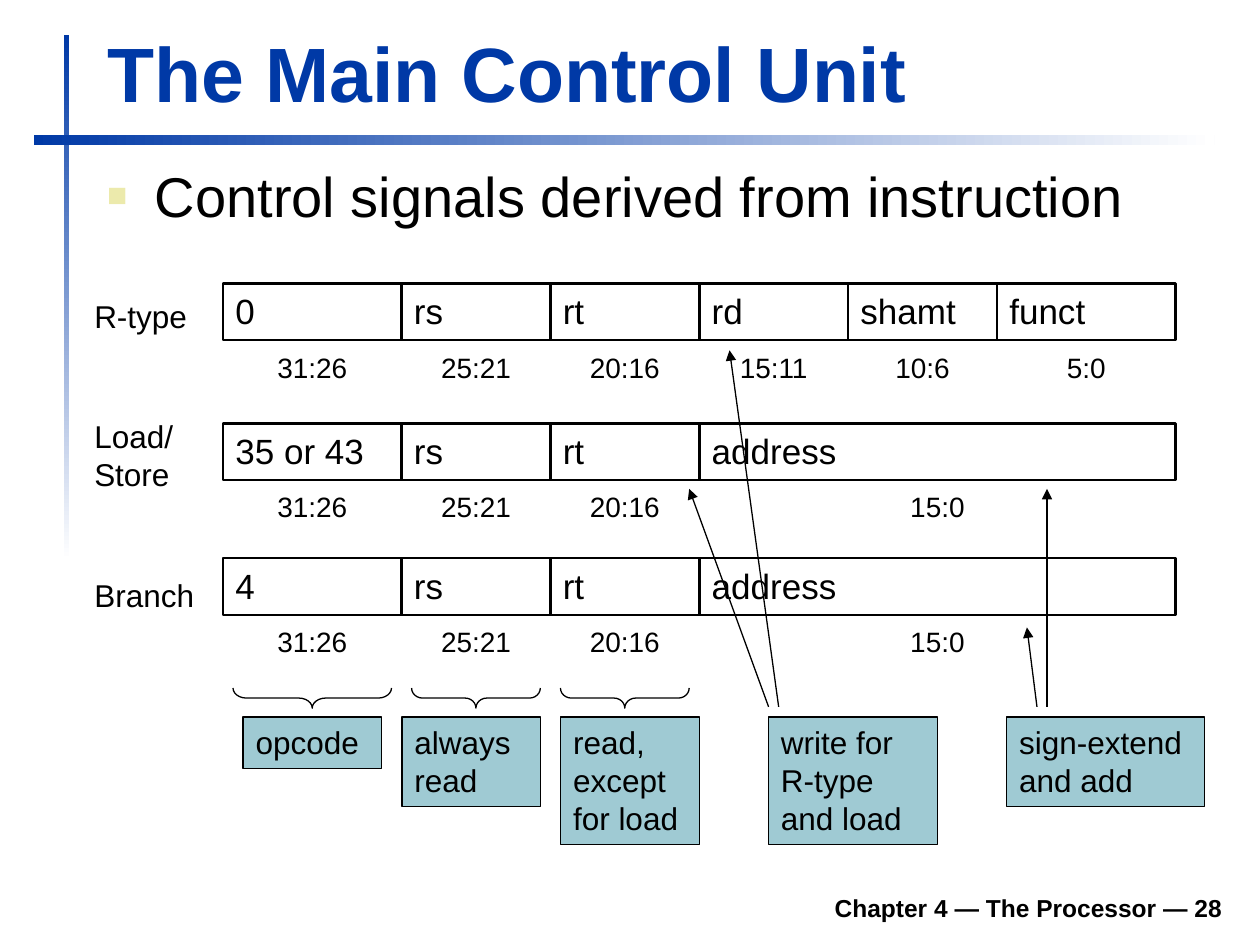
from dataclasses import dataclass

from lxml.etree import SubElement
from pptx import Presentation
from pptx.dml.color import RGBColor
from pptx.enum.shapes import MSO_CONNECTOR, MSO_SHAPE
from pptx.enum.text import MSO_ANCHOR, MSO_AUTO_SIZE, PP_ALIGN
from pptx.oxml.ns import qn
from pptx.util import Inches, Pt


@dataclass(frozen=True)
class Theme:
    font: str = "Arial"
    accent: str = "0039A6"
    background: str = "FFFFFF"
    ink: str = "000000"
    bullet: str = "ECEAAC"
    note: str = "9FCAD3"
    title_size: int = 44
    body_size: int = 32
    field_size: int = 20
    label_size: int = 18
    bits_size: int = 16
    footer_size: int = 14
    field_line: float = 1.5
    thin_line: float = 0.75


WORD_LEFT = 1.77
BIT_WIDTH = 7.56 / 32
FIELD_HEIGHT = 0.45


def field_span(bits):
    high, low = map(int, bits.split(":"))
    return WORD_LEFT + (31 - high) * BIT_WIDTH, (high - low + 1) * BIT_WIDTH


class SlideBuilder:
    def __init__(self, slide, theme):
        self.slide = slide
        self.theme = theme

    def set_text(self, shape, text, size, color=None, bold=False,
                 align=PP_ALIGN.LEFT, anchor=MSO_ANCHOR.TOP, wrap=True):
        frame = shape.text_frame
        frame.text = text
        frame.word_wrap = wrap
        frame.auto_size = MSO_AUTO_SIZE.NONE
        frame.vertical_anchor = anchor
        paragraph = frame.paragraphs[0]
        paragraph.alignment = align
        paragraph.space_before = Pt(0)
        for run in paragraph.runs:
            run.font.name = self.theme.font
            run.font.size = Pt(size)
            run.font.bold = bold
            run.font.color.rgb = RGBColor.from_string(color or self.theme.ink)
        return paragraph

    def placeholder(self, index, left, top, width, height):
        shape = self.slide.placeholders[index]
        shape.left, shape.top = Inches(left), Inches(top)
        shape.width, shape.height = Inches(width), Inches(height)
        return shape

    def title(self, text, *box):
        self.set_text(self.placeholder(0, *box), text, self.theme.title_size,
                      self.theme.accent, True, anchor=MSO_ANCHOR.BOTTOM)

    def bullet(self, text, *box):
        paragraph = self.set_text(self.placeholder(1, *box), text, self.theme.body_size)
        properties = paragraph._p.get_or_add_pPr()
        properties.set("marL", str(Inches(0.38)))
        properties.set("indent", str(-Inches(0.38)))
        color = SubElement(properties, qn("a:buClr"))
        SubElement(color, qn("a:srgbClr"), val=self.theme.bullet)
        SubElement(properties, qn("a:buSzPct"), val="60000")
        SubElement(properties, qn("a:buFont"), typeface=self.theme.font)
        SubElement(properties, qn("a:buChar"), char="■")

    def shape(self, kind, left, top, width, height, fill=None, line=None):
        shape = self.slide.shapes.add_shape(
            kind, Inches(left), Inches(top), Inches(width), Inches(height))
        shape.shadow.inherit = False
        if fill:
            shape.fill.solid()
            shape.fill.fore_color.rgb = RGBColor.from_string(fill)
        else:
            shape.fill.background()
        if line:
            shape.line.color.rgb = RGBColor.from_string(self.theme.ink)
            shape.line.width = Pt(line)
        else:
            shape.line.fill.background()
        return shape

    def gradient_bar(self, left, top, width, height, angle):
        bar = self.shape(MSO_SHAPE.RECTANGLE, left, top, width, height)
        bar.fill.gradient()
        bar.fill.gradient_angle = angle
        colors = self.theme.accent, self.theme.background
        for stop, position, color in zip(bar.fill.gradient_stops, (0, 1), colors):
            stop.position = position
            stop.color.rgb = RGBColor.from_string(color)

    def label(self, text, left, top, width, height, size, **style):
        box = self.slide.shapes.add_textbox(
            Inches(left), Inches(top), Inches(width), Inches(height))
        self.set_text(box, text, size, **style)

    def field(self, text, bits, top):
        left, width = field_span(bits)
        box = self.shape(MSO_SHAPE.RECTANGLE, left, top, width, FIELD_HEIGHT,
                         line=self.theme.field_line)
        self.set_text(box, text, self.theme.field_size)
        label_width = 0.13 + 0.125 * len(bits)
        self.label(bits, left + (width - label_width) / 2, top + 0.48,
                   label_width, 0.37, self.theme.bits_size,
                   align=PP_ALIGN.CENTER, wrap=False)

    def brace(self, bits, curve):
        left, width = field_span(bits)
        thickness, length = 0.16, width - 0.16
        brace = self.shape(MSO_SHAPE.LEFT_BRACE, left + (width - thickness) / 2,
                           5.54 - length / 2, thickness, length,
                           line=self.theme.thin_line)
        brace.rotation = 270
        brace.adjustments[0] = curve

    def note(self, text, left, width, height):
        box = self.shape(MSO_SHAPE.RECTANGLE, left, 5.69, width, height,
                         self.theme.note, self.theme.thin_line)
        self.set_text(box, text, self.theme.label_size)

    def arrow(self, start_x, start_y, end_x, end_y):
        arrow = self.slide.shapes.add_connector(
            MSO_CONNECTOR.STRAIGHT, Inches(start_x), Inches(start_y),
            Inches(end_x), Inches(end_y))
        arrow.line.color.rgb = RGBColor.from_string(self.theme.ink)
        arrow.line.width = Pt(self.theme.thin_line)
        SubElement(arrow.line._get_or_add_ln(), qn("a:tailEnd"), type="triangle")
        SubElement(arrow._element.spPr, qn("a:effectLst"))


def main():
    presentation = Presentation()
    presentation.slide_width = Inches(10)
    presentation.slide_height = Inches(7.5)
    slide = presentation.slides.add_slide(presentation.slide_layouts[1])
    theme = Theme()
    builder = SlideBuilder(slide, theme)

    builder.gradient_bar(0.51, 0.28, 0.04, 4.17, 270)
    builder.gradient_bar(0.27, 1.07, 9.37, 0.08, 0)
    builder.title("The Main Control Unit", 0.75, 0.16, 9.03, 0.83)
    builder.bullet("Control signals derived from instruction", 0.75, 1.23, 9.05, 0.76)
    builder.label("Chapter 4 — The Processor — 28", 1.85, 6.98, 7.95, 0.39,
                  theme.footer_size, bold=True, align=PP_ALIGN.RIGHT,
                  anchor=MSO_ANCHOR.BOTTOM)

    registers = [("rs", "25:21"), ("rt", "20:16")]
    address = [("address", "15:0")]
    r_type_tail = [("rd", "15:11"), ("shamt", "10:6"), ("funct", "5:0")]
    formats = [
        ("R-type", 2.31, 0.94, 0.4, "0", 2.25, r_type_tail),
        ("Load/\vStore", 3.26, 0.83, 0.7, "35 or 43", 3.36, address),
        ("Branch", 4.52, 0.99, 0.4, "4", 4.43, address),
    ]
    for name, name_top, width, height, opcode, top, tail in formats:
        for text, bits in [(opcode, "31:26")] + registers + tail:
            builder.field(text, bits, top)
        builder.label(name, 0.65, name_top, width, height, theme.label_size, wrap=False)

    for bits, curve in [("31:26", 0.665), ("25:21", 0.539), ("20:16", 0.539)]:
        builder.brace(bits, curve)

    notes = [
        ("opcode", 1.93, 1.1, 0.41),
        ("always read", 3.19, 1.1, 0.71),
        ("read, except for load", 4.45, 1.1, 1.01),
        ("write for R-type and load", 6.1, 1.34, 1.01),
        ("sign-extend and add", 7.99, 1.57, 0.71),
    ]
    for note in notes:
        builder.note(*note)

    arrows = [(6.1, 5.47, 3.88), (6.18, 5.79, 2.78), (8.23, 8.15, 4.98), (8.31, 8.31, 3.88)]
    for start_x, end_x, end_y in arrows:
        builder.arrow(start_x, 5.61, end_x, end_y)

    presentation.save("out.pptx")


if __name__ == "__main__":
    main()
